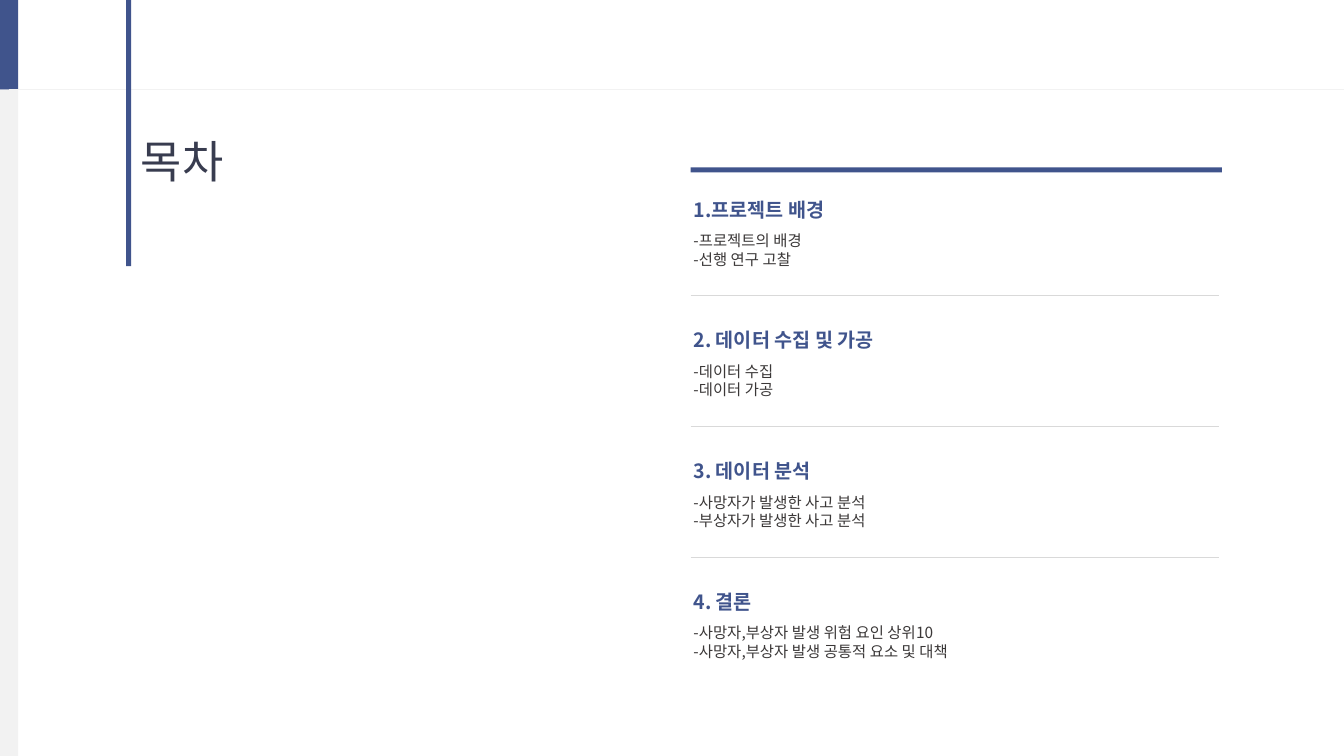
import dataclasses

import lxml.etree
import pptx
import pptx.dml.color
import pptx.enum.shapes
import pptx.enum.text
import pptx.oxml.ns
import pptx.util


@dataclasses.dataclass(frozen=True)
class Theme:
    font: str = "Noto Sans CJK KR"
    accent: str = "40548C"
    title: str = "383C4F"
    body: str = "3B3838"
    pale: str = "F2F2F2"
    rule: str = "D9D9D9"
    title_size: int = 32
    heading_size: int = 14
    body_size: int = 11
    line_width: float = 0.5


THEME = Theme()
WIDTH = pptx.util.Inches(13.33)
HEIGHT = pptx.util.Inches(7.5)

HEADER_BOTTOM = 11.87
EDGE_WIDTH = 1.35
TEXT_LEFT = 50.86
RULE_LEFT = 51.39
RULE_RIGHT = 90.7
SECTION_TOP = 25.47
SECTION_PITCH = 17.3
DETAIL_OFFSET = 4.46
RULE_OFFSET = 13.6

SECTIONS = [
    ("1.프로젝트 배경", ["-프로젝트의 배경", "-선행 연구 고찰"]),
    ("2. 데이터 수집 및 가공", ["-데이터 수집", "-데이터 가공"]),
    ("3. 데이터 분석", ["-사망자가 발생한 사고 분석", "-부상자가 발생한 사고 분석"]),
    ("4. 결론", ["-사망자,부상자 발생 위험 요인 상위10", "-사망자,부상자 발생 공통적 요소 및 대책"]),
]


def across(percent):
    return int(WIDTH * percent / 100)


def down(percent):
    return int(HEIGHT * percent / 100)


def rgb(color):
    return pptx.dml.color.RGBColor.from_string(color)


def add_bar(slide, left, top, width, height, color):
    bar = slide.shapes.add_shape(
        pptx.enum.shapes.MSO_SHAPE.RECTANGLE,
        across(left), down(top), across(width), down(height))
    bar.shadow.inherit = False
    bar.fill.solid()
    bar.fill.fore_color.rgb = rgb(color)
    bar.line.fill.background()


def add_rule(slide, left, right, top, color):
    rule = slide.shapes.add_connector(
        pptx.enum.shapes.MSO_CONNECTOR.STRAIGHT,
        across(left), down(top), across(right), down(top))
    rule.line.color.rgb = rgb(color)
    rule.line.width = pptx.util.Pt(THEME.line_width)
    properties = rule._element.spPr
    lxml.etree.SubElement(properties, pptx.oxml.ns.qn("a:effectLst"))


def add_text(slide, left, top, width, height, lines, size, color, bold=False):
    box = slide.shapes.add_textbox(
        across(left), down(top), across(width), down(height))
    frame = box.text_frame
    frame.word_wrap = False
    frame.auto_size = pptx.enum.text.MSO_AUTO_SIZE.SHAPE_TO_FIT_TEXT
    frame.text = "\n".join(lines)
    for paragraph in frame.paragraphs:
        font = paragraph.font
        font.name = THEME.font
        font.size = pptx.util.Pt(size)
        font.bold = bold
        font.color.rgb = rgb(color)
        for properties in paragraph._p.xpath("./a:pPr/a:defRPr"):
            east_asian = lxml.etree.SubElement(properties, pptx.oxml.ns.qn("a:ea"))
            east_asian.set("typeface", THEME.font)


def add_section(slide, index, heading, details):
    top = SECTION_TOP + index * SECTION_PITCH
    add_text(slide, TEXT_LEFT, top, 16, 4.5, [heading],
             THEME.heading_size, THEME.accent, bold=True)
    add_text(slide, TEXT_LEFT, top + DETAIL_OFFSET, 23, 6.27, details,
             THEME.body_size, THEME.body)
    if index < len(SECTIONS) - 1:
        add_rule(slide, RULE_LEFT, RULE_RIGHT, top + RULE_OFFSET, THEME.rule)


def main():
    presentation = pptx.Presentation()
    presentation.slide_width = WIDTH
    presentation.slide_height = HEIGHT
    slide = presentation.slides.add_slide(presentation.slide_layouts[6])

    add_bar(slide, 0, 0, EDGE_WIDTH, HEADER_BOTTOM, THEME.accent)
    add_bar(slide, 0, HEADER_BOTTOM, EDGE_WIDTH, 100 - HEADER_BOTTOM, THEME.pale)
    add_rule(slide, EDGE_WIDTH / 2, 100, HEADER_BOTTOM, THEME.pale)
    add_text(slide, 9.75, 17.07, 8.25, 8.53, ["목차"], THEME.title_size, THEME.title)
    add_bar(slide, 9.38, 0, 0.38, 35.2, THEME.accent)
    add_bar(slide, RULE_LEFT, 22.13, 39.53, 0.67, THEME.accent)
    for index, (heading, details) in enumerate(SECTIONS):
        add_section(slide, index, heading, details)

    presentation.save("out.pptx")


main()
